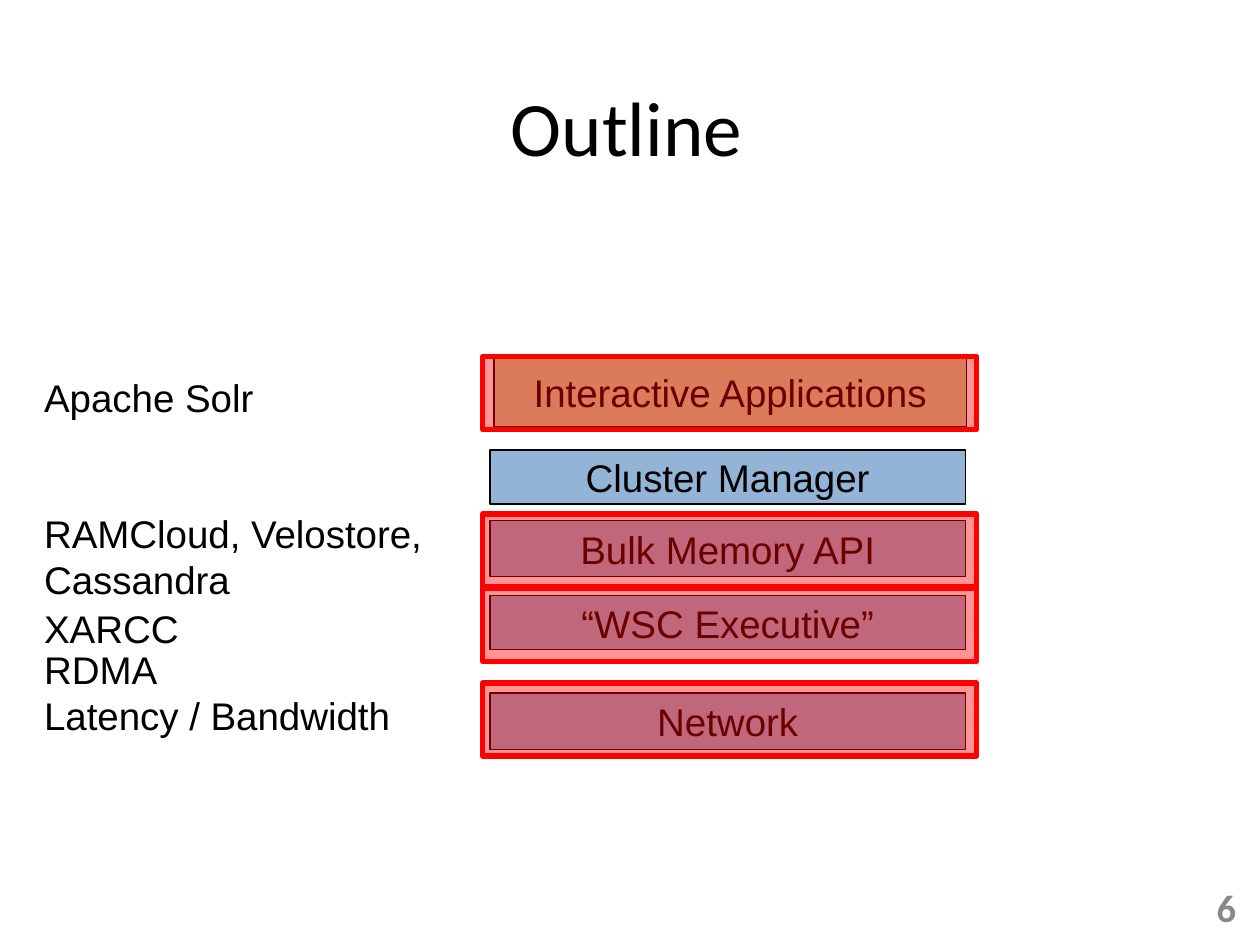
from lxml.etree import SubElement
from pptx import Presentation
from pptx.dml.color import RGBColor
from pptx.enum.shapes import MSO_SHAPE
from pptx.enum.text import MSO_ANCHOR, MSO_AUTO_SIZE, PP_ALIGN
from pptx.oxml.ns import qn
from pptx.util import Cm, Pt

COLORS = {
    "text": "000000",
    "application": "C2D59B",
    "system": "93B3D7",
    "highlight": "FF0000",
    "number": "888888",
}
LAYER_LEFT, LAYER_WIDTH = 9.88, 9.58
HIGHLIGHT_LEFT, HIGHLIGHT_WIDTH, HIGHLIGHT_HEIGHT = 9.73, 9.96, 1.47
NOTE_LEFT = 0.64

LAYERS = [
    ("“WSC Executive”", LAYER_LEFT, 12.01, LAYER_WIDTH, 1.09, "system"),
    ("Bulk Memory API", LAYER_LEFT, 10.49, LAYER_WIDTH, 1.14, "system"),
    ("Interactive Applications", 9.96, 7.19, 9.52, 1.42, "application"),
    ("Cluster Manager", LAYER_LEFT, 9.07, LAYER_WIDTH, 1.09, "system"),
    ("Network", LAYER_LEFT, 13.97, LAYER_WIDTH, 1.14, "system"),
]
HIGHLIGHT_TOPS = [7.19, 10.36, 11.86, 13.77]
NOTES = [
    ("Apache Solr", 7.42, 4.83, 1.19),
    ("RAMCloud, Velostore,\nCassandra", 10.16, 8.43, 2.13),
    ("XARCC", 12.07, 3.25, 1.19),
    ("RDMA\nLatency / Bandwidth", 12.9, 7.57, 2.13),
]


def color(name):
    return RGBColor.from_string(COLORS[name])


def write(frame, text, align, size=22, font="Arial", ink="text", bold=False):
    frame.text = text
    for paragraph in frame.paragraphs:
        paragraph.alignment = align
        paragraph.font.size = Pt(size)
        paragraph.font.name = font
        paragraph.font.bold = bold
        paragraph.font.color.rgb = color(ink)


def add_title(slide, text):
    title = slide.shapes.title
    title.left, title.top = Cm(0.5), Cm(1.47)
    title.width, title.height = Cm(24.26), Cm(2.11)
    title.text_frame.vertical_anchor = MSO_ANCHOR.MIDDLE
    write(title.text_frame, text, PP_ALIGN.CENTER, 44, "Calibri")


def add_box(slide, left, top, width, height, fill, line, line_width):
    box = slide.shapes.add_shape(
        MSO_SHAPE.RECTANGLE, Cm(left), Cm(top), Cm(width), Cm(height))
    box.shadow.inherit = False
    box.fill.solid()
    box.fill.fore_color.rgb = color(fill)
    box.line.color.rgb = color(line)
    box.line.width = Pt(line_width)
    return box


def add_layer(slide, text, left, top, width, height, fill):
    layer = add_box(slide, left, top, width, height, fill, "text", 0.75)
    layer.text_frame.vertical_anchor = MSO_ANCHOR.MIDDLE
    write(layer.text_frame, text, PP_ALIGN.CENTER)


def add_highlight(slide, top):
    highlight = add_box(slide, HIGHLIGHT_LEFT, top, HIGHLIGHT_WIDTH,
                        HIGHLIGHT_HEIGHT, "highlight", "highlight", 3)
    fill_color = highlight._element.spPr.find(qn("a:solidFill"))[0]
    SubElement(fill_color, qn("a:alpha"), val="42000")


def add_note(slide, text, top, width, height):
    note = slide.shapes.add_textbox(
        Cm(NOTE_LEFT), Cm(top), Cm(width), Cm(height)).text_frame
    note.word_wrap = False
    note.auto_size = MSO_AUTO_SIZE.SHAPE_TO_FIT_TEXT
    write(note, text, PP_ALIGN.LEFT)


def add_slide_number(slide, text):
    number = slide.shapes.add_textbox(
        Cm(19.25), Cm(17.78), Cm(5.92), Cm(1.02)).text_frame
    number.word_wrap = True
    number.vertical_anchor = MSO_ANCHOR.MIDDLE
    write(number, text, PP_ALIGN.RIGHT, font="Calibri", ink="number", bold=True)


def main():
    deck = Presentation()
    deck.slide_width, deck.slide_height = Cm(25.4), Cm(19.05)
    slide = deck.slides.add_slide(deck.slide_layouts[5])
    add_title(slide, "Outline")
    for layer in LAYERS:
        add_layer(slide, *layer)
    for top in HIGHLIGHT_TOPS:
        add_highlight(slide, top)
    for note in NOTES:
        add_note(slide, *note)
    add_slide_number(slide, "6")
    deck.save("out.pptx")


if __name__ == "__main__":
    main()
